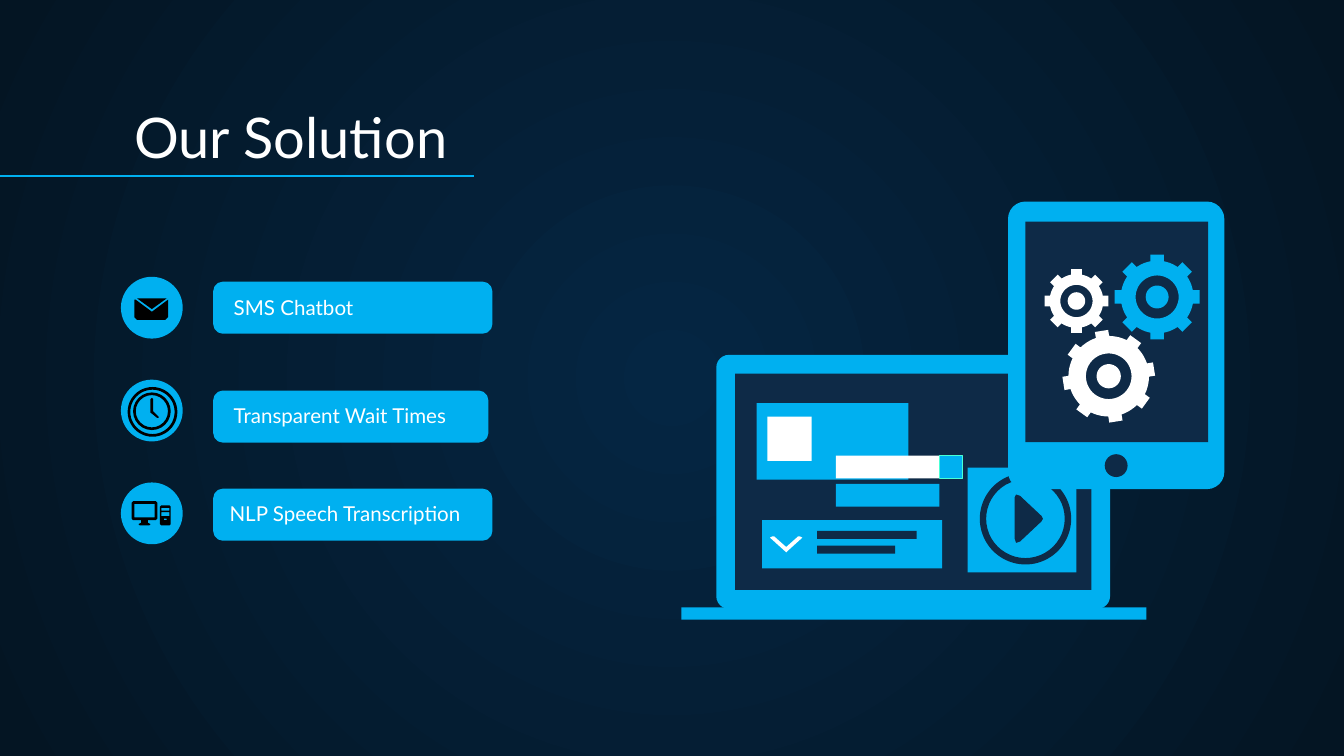
"""Build the "Our Solution" slide: three labelled features beside a device illustration."""
from math import asin, cos, pi, sin

from pptx import Presentation
from pptx.dml.color import RGBColor
from pptx.enum.shapes import MSO_CONNECTOR, MSO_SHAPE
from pptx.enum.text import MSO_ANCHOR, MSO_AUTO_SIZE, PP_ALIGN
from pptx.oxml import parse_xml
from pptx.oxml.ns import nsdecls, qn
from pptx.util import Inches, Pt

RECTANGLE, ROUNDED = MSO_SHAPE.RECTANGLE, MSO_SHAPE.ROUNDED_RECTANGLE
OVAL, DONUT = MSO_SHAPE.OVAL, MSO_SHAPE.DONUT
CYAN = RGBColor(0x00, 0xB0, 0xF0)
NAVY = RGBColor(0x0E, 0x2A, 0x47)
MINT = RGBColor(0x48, 0xFF, 0xD5)
WHITE = RGBColor(0xFF, 0xFF, 0xFF)
BLACK = RGBColor(0x00, 0x00, 0x00)
GLOW = RGBColor(0x05, 0x26, 0x43)
NIGHT = RGBColor(0x04, 0x15, 0x23)
FONT = "Lato"
TEETH = 8
SLIDE_WIDTH = 10
SLIDE_HEIGHT = SLIDE_WIDTH * 9 / 16


def box(left, top, right, bottom, cut=0):
    """Return a rectangular contour, with its corners cut if asked."""
    if not cut:
        return [(left, top), (right, top), (right, bottom), (left, bottom)]
    return [(left + cut, top), (right - cut, top), (right, top + cut),
            (right, bottom - cut), (right - cut, bottom), (left + cut, bottom),
            (left, bottom - cut), (left, top + cut)]


TITLE = "Our Solution"
FEATURES = [
    ("SMS Chatbot", (1.6, 2.11, 2.05, 0.36), (1.64, 2.27)),
    ("Transparent Wait Times", (1.6, 2.92, 2.02, 0.36), (1.64, 3.07)),
    ("NLP Speech Transcription", (1.6, 3.65, 2.05, 0.36), (1.61, 3.8)),
]
BADGE_TOP, BADGE_STEP, BADGE_SIZE = 2.06, 0.765, 0.46

ENVELOPE = [
    [[(1, 2.23), (1.01, 2.23), (1.13, 2.32), (1.25, 2.23), (1.25, 2.36),
      (1.23, 2.38), (1.02, 2.38), (1, 2.36)]],
    [[(1.02, 2.22), (1.24, 2.22), (1.13, 2.3)]],
]
CLOCK_RINGS = [(0.95, 2.88, 0.37), (0.99, 2.92, 0.28)]
CLOCK_HANDS = [[[(1.12, 2.97), (1.13, 2.96), (1.14, 2.97), (1.14, 3.06), (1.18, 3.1),
                 (1.18, 3.11), (1.17, 3.11), (1.12, 3.07)]]]
COMPUTER = [
    [box(0.98, 3.73, 1.17, 3.87, 0.01), box(1, 3.75, 1.15, 3.85)],
    [[(1.05, 3.87), (1.1, 3.87), (1.1, 3.89), (1.12, 3.9), (1.11, 3.91),
      (1.04, 3.91), (1.03, 3.9), (1.05, 3.89)]],
    [box(1.19, 3.76, 1.27, 3.91, 0.01), box(1.2, 3.78, 1.26, 3.8),
     box(1.2, 3.81, 1.26, 3.84), box(1.22, 3.86, 1.24, 3.87)],
]

LAPTOP = [
    (ROUNDED, (5.33, 2.64, 2.93, 1.89), CYAN, 0.05),
    (RECTANGLE, (5.47, 2.78, 2.65, 1.61), NAVY, None),
    (RECTANGLE, (5.07, 4.52, 3.46, 0.09), CYAN, None),
    (RECTANGLE, (5.63, 3, 1.13, 0.57), CYAN, None),
    (RECTANGLE, (5.71, 3.1, 0.33, 0.33), WHITE, None),
    (RECTANGLE, (5.67, 3.87, 1.34, 0.36), CYAN, None),
    (RECTANGLE, (6.08, 3.95, 0.74, 0.06), NAVY, None),
    (RECTANGLE, (6.08, 4.06, 0.58, 0.06), NAVY, None),
    (RECTANGLE, (6.22, 3.6, 0.77, 0.17), CYAN, None),
    (RECTANGLE, (6.22, 3.39, 0.77, 0.17), WHITE, None),
    (RECTANGLE, (7.2, 3.48, 0.81, 0.78), CYAN, None),
    (DONUT, (7.29, 3.52, 0.68, 0.68), NAVY, 0.07),
]
CURSOR = (6.99, 3.39, 0.17, 0.17)
CHEVRON = [[(5.73, 4), (5.75, 3.99), (5.76, 3.99), (5.85, 4.07), (5.94, 3.99),
            (5.95, 3.99), (5.97, 4), (5.96, 4.01), (5.86, 4.1), (5.85, 4.11),
            (5.84, 4.1), (5.74, 4.01)]]
PLAY = [[(7.55, 3.7), (7.56, 3.68), (7.59, 3.69), (7.75, 3.84), (7.76, 3.86),
         (7.75, 3.88), (7.59, 4.03), (7.56, 4.04), (7.55, 4.01)]]
TABLET = [
    (ROUNDED, (7.5, 1.5, 1.61, 2.14), CYAN, 0.08),
    (RECTANGLE, (7.63, 1.65, 1.36, 1.64), NAVY, None),
    (OVAL, (8.22, 3.38, 0.17, 0.17), NAVY, None),
]
GEARS = [
    ((8.61, 2.21), (0.32, 0.27, 0.16, 0.085), 0.05, 0, CYAN),
    ((8.01, 2.24), (0.24, 0.2, 0.12, 0.065), 0.04, 0, WHITE),
    ((8.25, 2.8), (0.345, 0.3, 0.17, 0.09), 0.05, -9, WHITE),
]


def paint(shape, color, line=None, width=0):
    shape.shadow.inherit = False
    shape.fill.solid()
    shape.fill.fore_color.rgb = color
    if line is None:
        shape.line.fill.background()
    else:
        shape.line.color.rgb = line
        shape.line.width = Pt(width)


def add_part(shapes, kind, place, color, adjustment=None, line=None, width=0):
    shape = shapes.add_shape(kind, *map(Inches, place))
    if adjustment is not None:
        shape.adjustments[0] = adjustment
    paint(shape, color, line, width)


def add_outline(shapes, contours, color):
    """Draw contours as one shape; inner contours become holes."""
    rings = [[(Inches(x), Inches(y)) for x, y in contour] for contour in contours]
    builder = shapes.build_freeform(*rings[0][0], scale=1.0)
    for index, ring in enumerate(rings):
        if index:
            builder.move_to(*ring[0])
        builder.add_line_segments(ring[1:], close=True)
    paint(builder.convert_to_shape(), color)


def gear_contours(center, radii, half_tooth, rotation):
    def point(radius, angle):
        return center[0] + radius * cos(angle), center[1] + radius * sin(angle)

    def circle(radius):
        return [point(radius, 2 * pi * step / 48) for step in range(48)]

    tip, body, hole, hub = radii
    rim = []
    for tooth in range(TEETH):
        middle = 2 * pi * tooth / TEETH + rotation * pi / 180
        base, top = asin(half_tooth / body), asin(half_tooth / tip)
        rim += [point(body, middle - base), point(tip, middle - top),
                point(tip, middle + top), point(body, middle + base)]
        gap = 2 * pi / TEETH - 2 * base
        rim += [point(body, middle + base + gap * step / 5) for step in range(1, 5)]
    return [rim, circle(hole), circle(hub)]


def write(shape, text, size):
    frame = shape.text_frame
    frame.word_wrap = True
    frame.auto_size = MSO_AUTO_SIZE.NONE
    frame.vertical_anchor = MSO_ANCHOR.BOTTOM
    frame.margin_left = frame.margin_right = Inches(0.1)
    frame.margin_top = frame.margin_bottom = Inches(0.1)
    paragraph = frame.paragraphs[0]
    paragraph.text = text
    paragraph.alignment = PP_ALIGN.LEFT
    paragraph.font.name = FONT
    paragraph.font.size = Pt(size)
    paragraph.font.color.rgb = WHITE


presentation = Presentation()
presentation.slide_width = Inches(SLIDE_WIDTH)
presentation.slide_height = Inches(SLIDE_HEIGHT)
slide = presentation.slides.add_slide(presentation.slide_layouts[5])
shapes = slide.shapes

background = slide.background.fill
background.gradient()
for stop, color in zip(background.gradient_stops, (GLOW, NIGHT)):
    stop.color.rgb = color
linear = slide.element.find(".//" + qn("a:lin"))
linear.getparent().replace(linear, parse_xml(
    f'<a:path {nsdecls("a")} path="circle">'
    '<a:fillToRect l="50000" t="50000" r="50000" b="50000"/></a:path>'))

title = shapes.title
title.left, title.top, title.width, title.height = map(Inches, (0.9, 0.7, 3.22, 0.66))
write(title, TITLE, 30)
rule = shapes.add_connector(MSO_CONNECTOR.STRAIGHT, *map(Inches, (0, 1.31, 3.53, 1.31)))
rule.line.color.rgb = CYAN
rule.line.width = Pt(0.75)
rule.element.spPr.append(parse_xml(f'<a:effectLst {nsdecls("a")}/>'))

for row, (text, pill, corner) in enumerate(FEATURES):
    add_part(shapes, ROUNDED, pill, CYAN, line=CYAN, width=2)
    write(shapes.add_textbox(*map(Inches, (*corner, 2.27, 0.21))), text, 11)
    badge = (0.9, BADGE_TOP + row * BADGE_STEP, BADGE_SIZE, BADGE_SIZE)
    add_part(shapes, OVAL, badge, CYAN)

for icon in (ENVELOPE, CLOCK_HANDS, COMPUTER):
    group = shapes.add_group_shape().shapes
    for contours in icon:
        add_outline(group, contours, BLACK)
    if icon is CLOCK_HANDS:
        for left, top, size in CLOCK_RINGS:
            add_part(group, DONUT, (left, top, size, size), BLACK, 0.02 / size)

for part in LAPTOP:
    add_part(shapes, *part)
add_part(shapes, RECTANGLE, CURSOR, CYAN, line=MINT, width=0.75)
add_outline(shapes, CHEVRON, WHITE)
add_outline(shapes, PLAY, NAVY)
for part in TABLET:
    add_part(shapes, *part)
for center, radii, half_tooth, rotation, color in GEARS:
    add_outline(shapes, gear_contours(center, radii, half_tooth, rotation), color)

presentation.save("out.pptx")
